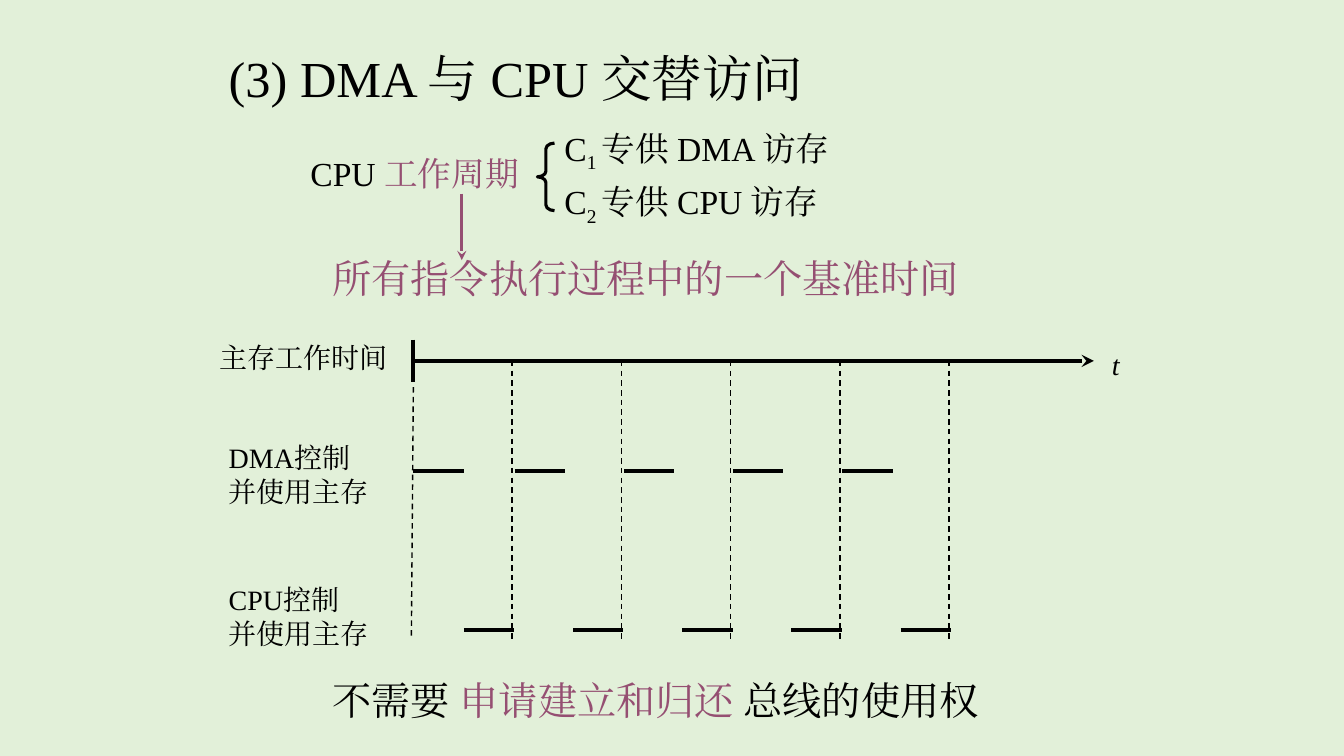
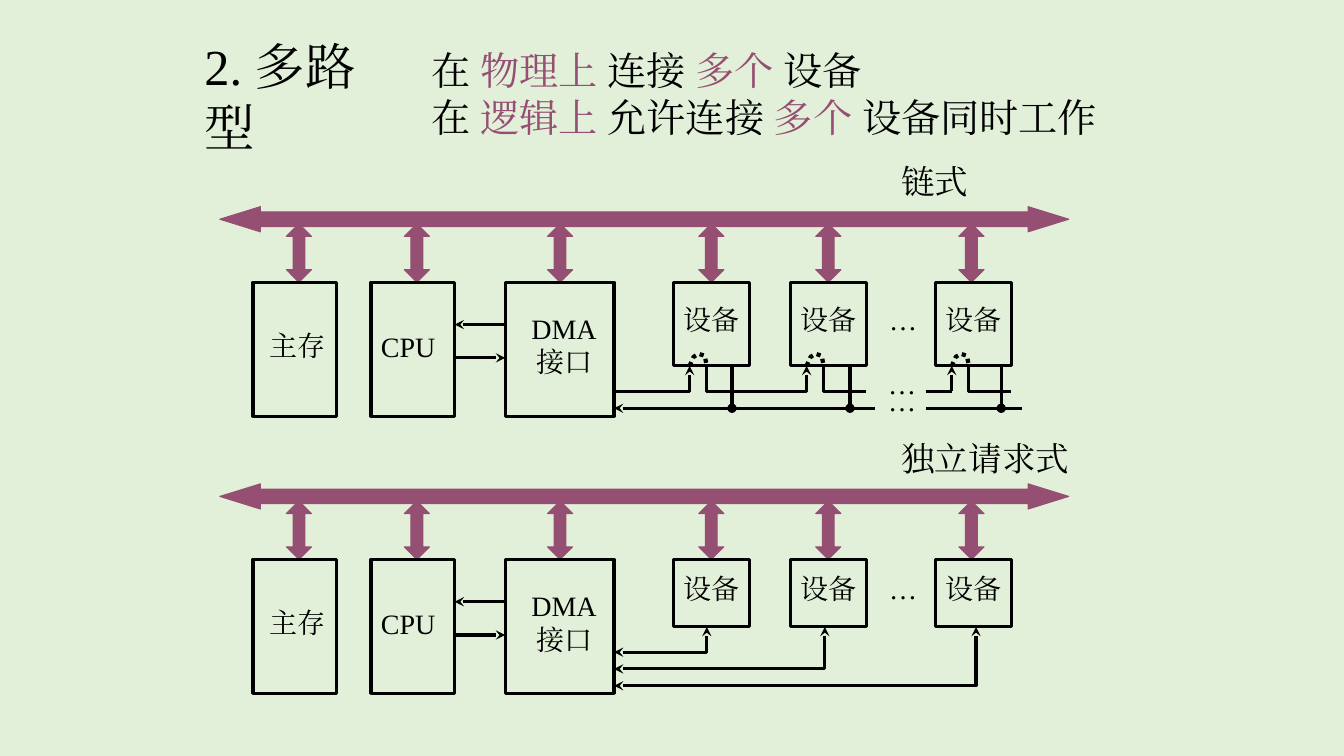
from dataclasses import dataclass

from lxml.etree import SubElement
from pptx import Presentation
from pptx.dml.color import RGBColor
from pptx.enum.dml import MSO_LINE
from pptx.enum.shapes import MSO_CONNECTOR, MSO_SHAPE
from pptx.enum.text import MSO_AUTO_SIZE, PP_ALIGN
from pptx.oxml.ns import qn
from pptx.util import Inches, Pt


@dataclass(frozen=True)
class Theme:
    background: RGBColor = RGBColor(0xE2, 0xF0, 0xD9)
    ink: RGBColor = RGBColor(0, 0, 0)
    accent: RGBColor = RGBColor(0x95, 0x4F, 0x72)
    font: str = "Times New Roman"
    title: int = 36
    statement: int = 28
    heading: int = 24
    label: int = 20
    axis_line: float = 3
    wire_line: float = 2.25
    thin_line: float = 1
    bus_line: float = 0.75


THEME = Theme()


def accent(text):
    return text, {"color": THEME.accent}


def subscript(text):
    return text, {"baseline": "-25000"}


def format_run(run, size, italic=False, color=THEME.ink, baseline=None):
    font = run.font
    font.size = Pt(size)
    font.italic = italic or None
    font.color.rgb = color
    font.name = THEME.font
    properties = run._r.get_or_add_rPr()
    SubElement(properties, qn("a:ea")).set("typeface", THEME.font)
    if baseline:
        properties.set("baseline", baseline)


def add_text(slide, box, paragraphs, size, wrap=True, centred=False, italic=False):
    """Write paragraphs, each a list of plain strings or (text, style) pairs."""
    shape = slide.shapes.add_textbox(*map(Inches, box))
    frame = shape.text_frame
    frame.word_wrap = wrap
    frame.auto_size = MSO_AUTO_SIZE.SHAPE_TO_FIT_TEXT
    for index, parts in enumerate(paragraphs):
        paragraph = frame.add_paragraph() if index else frame.paragraphs[0]
        if centred:
            paragraph.alignment = PP_ALIGN.CENTER
        for part in parts:
            text, style = (part, {}) if isinstance(part, str) else part
            run = paragraph.add_run()
            run.text = text
            format_run(run, size, italic, **style)


def add_label(slide, box, *lines, **options):
    add_text(slide, box, [[line] for line in lines], THEME.label, wrap=False, **options)


def style_line(line, width, color=THEME.ink, dash=None, head=None, tail=None):
    line.color.rgb = color
    line.width = Pt(width)
    if dash:
        line.dash_style = dash
    for tag, kind in (("a:headEnd", head), ("a:tailEnd", tail)):
        if kind:
            SubElement(line._get_or_add_ln(), qn(tag)).set("type", kind)


def add_line(slide, start, end, width=THEME.wire_line, **style):
    connector = slide.shapes.add_connector(
        MSO_CONNECTOR.STRAIGHT, *map(Inches, (*start, *end)))
    style_line(connector.line, width, **style)
    SubElement(connector._element.spPr, qn("a:effectLst"))


def add_path(slide, points, width=THEME.wire_line, **style):
    first, *rest = [tuple(map(Inches, point)) for point in points]
    builder = slide.shapes.build_freeform(*first)
    builder.add_line_segments(rest, close=False)
    shape = builder.convert_to_shape()
    shape.shadow.inherit = False
    shape.fill.background()
    style_line(shape.line, width, **style)


def add_preset(slide, kind, box, adjustments=(), fill=None,
               line=THEME.ink, width=THEME.wire_line):
    shape = slide.shapes.add_shape(kind, *map(Inches, box))
    shape.shadow.inherit = False
    for index, value in enumerate(adjustments):
        shape.adjustments[index] = value
    if fill is None:
        shape.fill.background()
    else:
        shape.fill.solid()
        shape.fill.fore_color.rgb = fill
    style_line(shape.line, width, line)


def draw_cycle_split(slide, left, top):
    """The CPU cycle, its two halves and what the cycle means."""
    add_text(slide, (left, top + 0.25, 2.52, 0.5),
             [["CPU ", accent("工作周期")]], THEME.heading)
    add_preset(slide, MSO_SHAPE.LEFT_BRACE,
               (left + 2.35, top + 0.2, 0.17, 0.67), (0.33, 0.5))
    halves = (("1 ", "专供 DMA 访存"), ("2 ", "专供 CPU 访存"))
    for index, (number, use) in enumerate(halves):
        add_text(slide, (left + 2.52, top + 0.53 * index, 4.42, 0.5),
                 [["C", subscript(number), use]], THEME.heading)
    add_text(slide, (left + 0.22, top + 1.25, 7.6, 0.57),
             [[accent("所有指令执行过程中的一个基准时间")]], THEME.statement)
    add_line(slide, (left + 1.6, top + 0.7), (left + 1.6, top + 1.36),
             color=THEME.accent, tail="stealth")


def draw_timing(slide, left, top):
    """Time axis with alternating memory access; left is the time origin."""
    bar, pitch, cycles = 0.5, 6.5 / 6, 5
    axis_y, dma_y, cpu_y = top + 0.21, top + 1.3, top + 2.88
    add_label(slide, (left - 2.02, top - 0.04, 1.88, 0.43), "主存工作时间")
    add_label(slide, (left - 1.93, top + 0.95, 1.6, 0.77), "DMA控制", "并使用主存")
    add_label(slide, (left - 1.93, top + 2.36, 1.6, 0.77), "CPU控制", "并使用主存")
    add_label(slide, (left + 6.83, top + 0.03, 0.28, 0.43), "t", italic=True)

    add_line(slide, (left, top), (left, top + 0.42), THEME.axis_line)
    add_line(slide, (left, axis_y), (left + 6.75, axis_y), THEME.axis_line,
             tail="stealth")
    add_line(slide, (left, top + 0.47), (left - 0.02, top + 2.95),
             THEME.thin_line, dash=MSO_LINE.DASH)
    for cycle in range(cycles):
        cycle_x = left + cycle * pitch
        dma_x = cycle_x - (0.08 if cycle else 0)
        cpu_x = cycle_x + bar
        tick_x = cpu_x + 0.48
        add_line(slide, (dma_x, dma_y), (dma_x + bar, dma_y), THEME.axis_line)
        add_line(slide, (cpu_x, cpu_y), (cpu_x + bar, cpu_y), THEME.axis_line)
        add_line(slide, (tick_x, axis_y), (tick_x, top + 2.97),
                 THEME.thin_line, dash=MSO_LINE.DASH)


DEVICE_LEFTS = (4.5, 5.66, 7.1)
DEVICE_WIDTH = 0.75
DMA_RIGHT = 3.91


def draw_bus_system(slide, left, top, device_height):
    """Bus, memory, CPU, DMA interface and devices, without device wiring."""
    box_top, box_height = top + 0.75, 1.33
    add_preset(slide, MSO_SHAPE.LEFT_RIGHT_ARROW, (left, top, 8.42, 0.25),
               (0.58, 1.61), THEME.accent, THEME.accent, THEME.bus_line)
    for arrow_left in (0.66, 1.83, 3.25, 4.75, 5.91, 7.33):
        add_preset(slide, MSO_SHAPE.UP_DOWN_ARROW,
                   (left + arrow_left, top + 0.17, 0.25, 0.58),
                   (0.5, 0.47), THEME.accent, THEME.accent, THEME.bus_line)

    for box_left, width in ((0.33, 0.83), (1.5, 0.83), (2.83, 1.08)):
        add_preset(slide, MSO_SHAPE.RECTANGLE,
                   (left + box_left, box_top, width, box_height))
    add_label(slide, (left + 0.39, top + 1.16, 0.76, 0.43), "主存")
    add_label(slide, (left + 1.5, top + 1.17, 0.77, 0.43), "CPU")
    add_label(slide, (left + 2.98, top + 0.99, 0.87, 0.77), "DMA", "接口",
              centred=True)

    label_top = box_top + (device_height - 0.53) / 2
    for device_left in DEVICE_LEFTS:
        add_preset(slide, MSO_SHAPE.RECTANGLE,
                   (left + device_left, box_top, DEVICE_WIDTH, device_height))
        add_label(slide, (left + device_left, label_top, 0.76, 0.43), "设备")
    add_label(slide, (left + 6.54, label_top, 0.48, 0.43), "…")

    cpu_right, dma_left = left + 2.33, left + 2.83
    add_line(slide, (cpu_right, top + 1.5), (dma_left, top + 1.5), tail="stealth")
    add_line(slide, (dma_left, top + 1.17), (cpu_right, top + 1.17), tail="stealth")


def draw_chain(slide, left, top):
    device_height = 0.83
    draw_bus_system(slide, left, top, device_height)
    add_text(slide, (left + 6.66, top - 0.5, 1.33, 0.5), [["链式"]], THEME.heading)

    edge_y = top + 0.75 + device_height
    grant_y, request_y = edge_y + 0.25, edge_y + 0.42
    entries = [left + device_left + 0.16 for device_left in DEVICE_LEFTS]
    exits = [entry + 0.17 for entry in entries]
    first, second, last = entries
    dma_x, line_end, line_resume = left + DMA_RIGHT, left + 6.5, left + 7

    add_path(slide, [(dma_x, grant_y), (first, grant_y), (first, edge_y)],
             tail="stealth")
    add_path(slide, [(exits[0], edge_y), (exits[0], grant_y),
                     (second, grant_y), (second, edge_y)], tail="stealth")
    for exit_x in exits[1:]:
        add_path(slide, [(exit_x, edge_y), (exit_x, grant_y),
                         (exit_x + 0.42, grant_y)])
    add_line(slide, (line_resume, grant_y), (last, grant_y))
    add_line(slide, (last, grant_y), (last, edge_y), tail="stealth")

    add_line(slide, (line_end, request_y), (dma_x, request_y), tail="stealth")
    add_line(slide, (line_resume, request_y), (left + 7.96, request_y))
    for request_x in (5.08, 6.25, 7.75):
        add_line(slide, (left + request_x, edge_y), (left + request_x, request_y),
                 tail="oval")

    arc = ((0, 0), (0.04, 0.09), (0.09, 0.12), (0.15, 0.1), (0.17, 0))
    for entry in entries:
        add_path(slide, [(entry + across, edge_y - up) for across, up in arc],
                 THEME.axis_line, dash=MSO_LINE.ROUND_DOT)
    for wire_y in (grant_y, request_y):
        add_text(slide, (left + 6.53, wire_y - 0.29, 1.5, 0.43), [["…"]], THEME.label)


def draw_independent_requests(slide, left, top):
    device_height = 0.67
    draw_bus_system(slide, left, top, device_height)
    add_text(slide, (left + 6.66, top - 0.5, 2.5, 0.5), [["独立请求式"]],
             THEME.heading)
    edge_y = top + 0.75 + device_height
    wire_ends = (4.83, 6, 7.5)
    for index, wire_end in enumerate(wire_ends):
        wire_x, wire_y = left + wire_end, edge_y + 0.25 + index / 6
        add_path(slide, [(left + DMA_RIGHT, wire_y), (wire_x, wire_y),
                         (wire_x, edge_y)], head="stealth", tail="stealth")


def build_alternating_access(slide):
    add_text(slide, (2.17, 0.42, 6.92, 0.7), [["(3) DMA 与 CPU 交替访问"]],
             THEME.title)
    draw_cycle_split(slide, 2.98, 1.22)
    draw_timing(slide, 4.1, 3.37)
    add_text(slide, (3.2, 6.66, 8.03, 0.57),
             [["不需要 ", accent("申请建立和归还 "), "总线的使用权"]],
             THEME.statement)


def build_multichannel(slide):
    add_text(slide, (1.93, 0.3, 2.1, 0.7), [["2. 多路型"]], THEME.title)
    add_text(slide, (4.18, 0.41, 7.25, 1.03),
             [["在 ", accent("物理上 "), "连接 ", accent("多个 "), "设备"],
              ["在 ", accent("逻辑上 "), "允许连接 ", accent("多个 "),
               "设备同时工作"]], THEME.statement)
    draw_chain(slide, 2.18, 2.05)
    draw_independent_requests(slide, 2.18, 4.8)


def main():
    presentation = Presentation()
    presentation.slide_width = Inches(13.33)
    presentation.slide_height = Inches(7.5)
    background = presentation.slide_master.background.fill
    background.solid()
    background.fore_color.rgb = THEME.background
    blank = presentation.slide_layouts[6]
    for build in (build_alternating_access, build_multichannel):
        build(presentation.slides.add_slide(blank))
    presentation.save("out.pptx")


if __name__ == "__main__":
    main()
